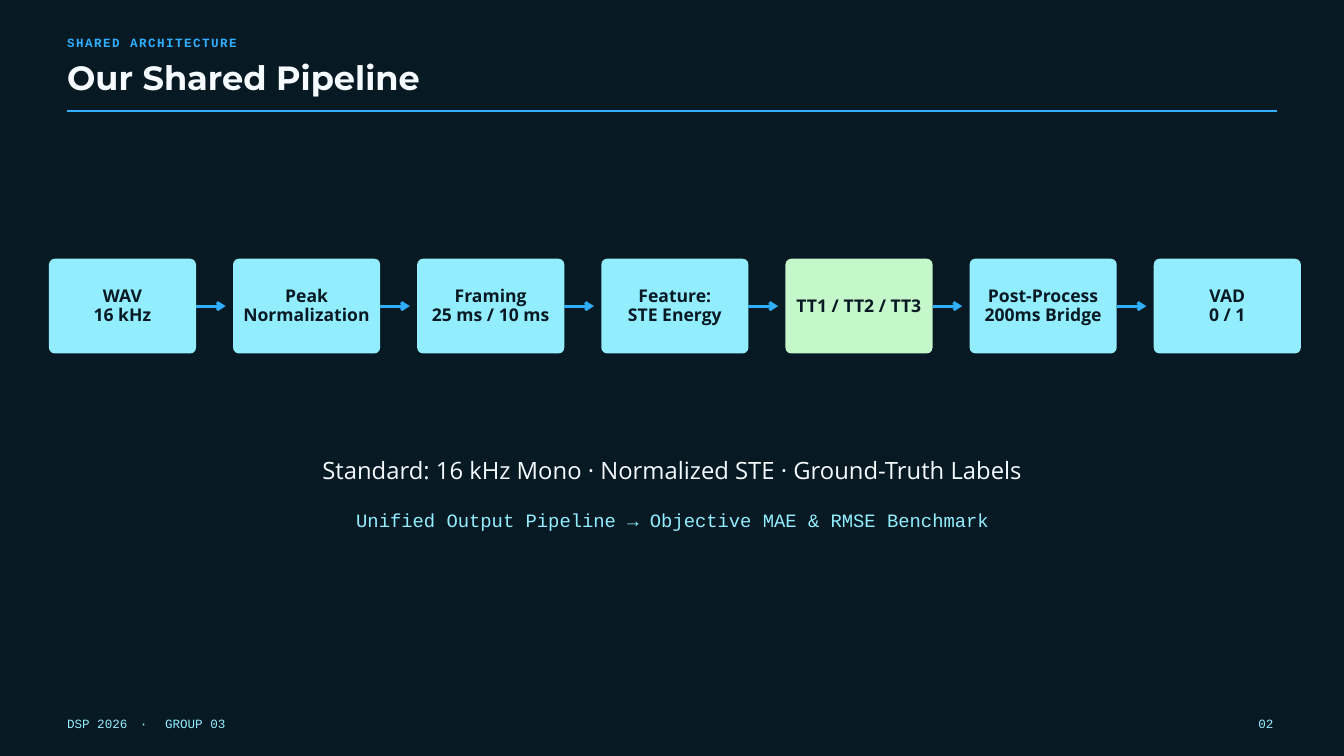
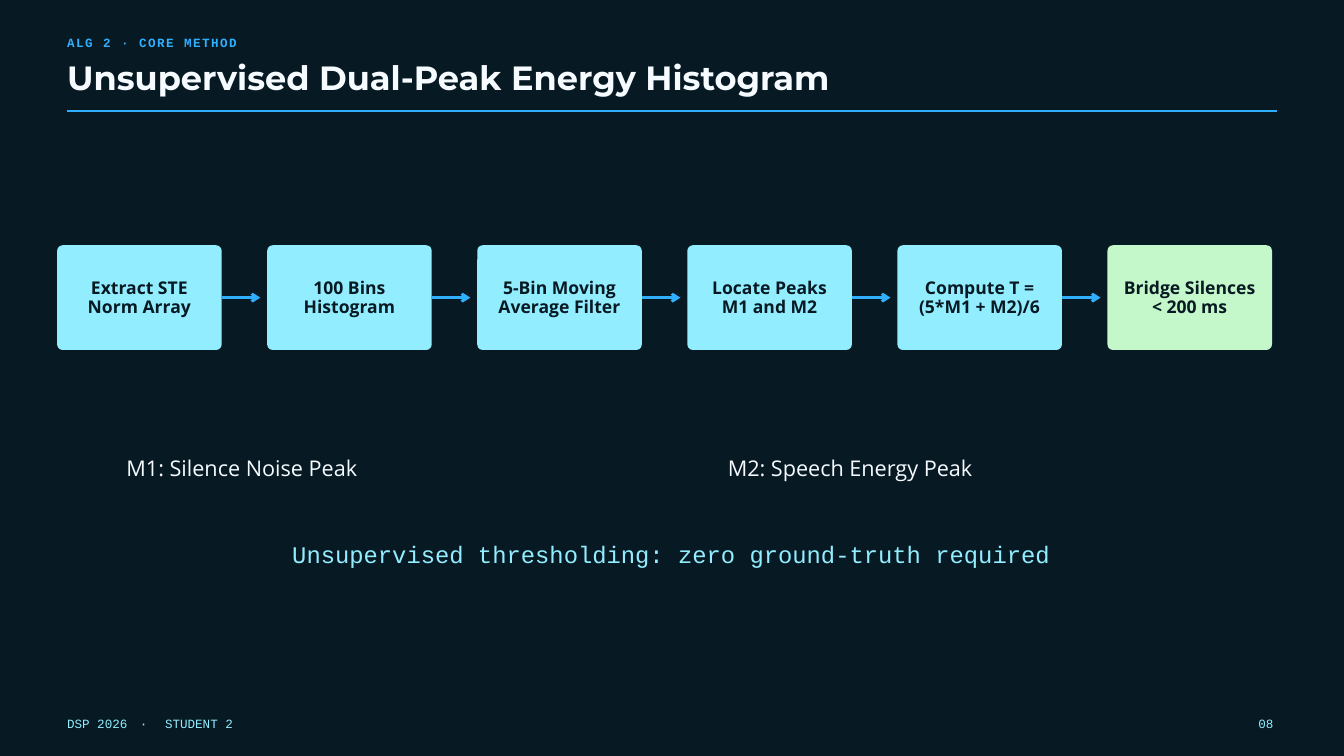
from dataclasses import dataclass

from lxml import etree
from pptx import Presentation
from pptx.dml.color import RGBColor
from pptx.enum.shapes import MSO_CONNECTOR, MSO_SHAPE
from pptx.enum.text import MSO_ANCHOR, MSO_AUTO_SIZE, PP_ALIGN
from pptx.oxml.ns import qn
from pptx.util import Cm, Pt

LEFT, CENTER, RIGHT = PP_ALIGN.LEFT, PP_ALIGN.CENTER, PP_ALIGN.RIGHT
MIDDLE = MSO_ANCHOR.MIDDLE
GROW = MSO_AUTO_SIZE.SHAPE_TO_FIT_TEXT
ROUNDED = MSO_SHAPE.ROUNDED_RECTANGLE
STRAIGHT = MSO_CONNECTOR.STRAIGHT

COLORS = {
    "night": "071923",
    "white": "F5FBFF",
    "blue": "30AFFF",
    "cyan": "92EEFF",
    "mint": "C4F7CA",
}
HEADING, BODY, MONO = "Montserrat", "Open Sans", "Courier New"
MARGIN = 2.54
FOOTER_TOP = 27.03


@dataclass(frozen=True)
class Flow:
    """A row of equal steps joined by arrows; lengths in cm."""
    steps: tuple[str, ...]
    highlighted: int
    left: float
    top: float
    width: float
    height: float
    pitch: float
    arrow: float
    radius: float


@dataclass(frozen=True)
class Note:
    """A line of text below the flow; lengths in cm, sizes in points."""
    text: str
    left: float
    top: float
    width: float
    height: float
    size: float
    leading: float
    font: str = BODY
    color: str = "white"
    align: PP_ALIGN = CENTER


@dataclass(frozen=True)
class Page:
    kicker: str
    title: str
    flow: Flow
    notes: tuple[Note, ...]
    author: str
    number: str


PAGES = (
    Page(
        kicker="SHARED ARCHITECTURE",
        title="Our Shared Pipeline",
        flow=Flow(
            steps=("WAV\n16 kHz", "Peak\nNormalization", "Framing\n25 ms / 10 ms",
                   "Feature:\nSTE Energy", "TT1 / TT2 / TT3",
                   "Post-Process\n200ms Bridge", "VAD\n0 / 1"),
            highlighted=4, left=1.85, top=9.78, width=5.56, height=3.58,
            pitch=6.96, arrow=1.12, radius=0.22),
        notes=(
            Note("Standard: 16 kHz Mono · Normalized STE · Ground-Truth Labels",
                 6.1, 17.12, 38.63, 1.14, 25.5, 33.1),
            Note("Unified Output Pipeline → Objective MAE & RMSE Benchmark",
                 7.42, 19.2, 35.99, 0.89, 20.2, 25.3, MONO, "cyan"),
        ),
        author="GROUP 03", number="02"),
    Page(
        kicker="ALG 2 · CORE METHOD",
        title="Unsupervised Dual-Peak Energy Histogram",
        flow=Flow(
            steps=("Extract STE\nNorm Array", "100 Bins\nHistogram",
                   "5-Bin Moving\nAverage Filter", "Locate Peaks\nM1 and M2",
                   "Compute T =\n(5*M1 + M2)/6", "Bridge Silences\n< 200 ms"),
            highlighted=5, left=2.16, top=9.27, width=6.22, height=3.96,
            pitch=7.94, arrow=1.46, radius=0.21),
        notes=(
            Note("M1: Silence Noise Peak", 4.78, 17.12, 18.52, 1.07, 23.2, 30.2, align=LEFT),
            Note("M2: Speech Energy Peak", 27.51, 17.12, 18.52, 1.07, 23.2, 30.2, align=LEFT),
            Note("Unsupervised thresholding: zero ground-truth required",
                 7.92, 20.37, 34.93, 1.07, 25.5, 31.9, MONO, "cyan"),
        ),
        author="STUDENT 2", number="08"),
)


def rgb(name: str) -> RGBColor:
    return RGBColor.from_string(COLORS[name])


def add_run(paragraph, text: str, *, size: float, font: str, color: str,
            bold: bool = False, tracking: float = 0) -> None:
    run = paragraph.add_run()
    run.text = text
    run.font.size = Pt(size)
    run.font.name = font
    run.font.bold = bold
    run.font.color.rgb = rgb(color)
    if tracking:
        run._r.get_or_add_rPr().set("spc", str(round(tracking * 100)))


def write_text(frame, text: str, *, leading: float, align: PP_ALIGN = LEFT,
               inset: float = 0, **style) -> None:
    """Fill a text frame, one paragraph per line of text."""
    frame.word_wrap = True
    frame.margin_left = frame.margin_right = Cm(inset)
    frame.margin_top = frame.margin_bottom = Cm(inset)
    for index, line in enumerate(text.split("\n")):
        paragraph = frame.add_paragraph() if index else frame.paragraphs[0]
        paragraph.alignment = align
        paragraph.line_spacing = Pt(leading)
        add_run(paragraph, line, **style)


def add_label(slide, text: str, left: float, top: float, width: float,
              height: float, **style):
    frame = slide.shapes.add_textbox(Cm(left), Cm(top), Cm(width), Cm(height)).text_frame
    write_text(frame, text, **style)
    frame.auto_size = GROW
    return frame


def add_line(slide, start: float, end: float, y: float, weight: float,
             arrow: bool = False) -> None:
    line = slide.shapes.add_connector(STRAIGHT, Cm(start), Cm(y), Cm(end), Cm(y))
    line.line.color.rgb = rgb("blue")
    line.line.width = Pt(weight)
    properties = line._element.spPr
    if arrow:
        etree.SubElement(properties.find(qn("a:ln")), qn("a:tailEnd"), type="arrow")
    etree.SubElement(properties, qn("a:effectLst"))


def add_header(slide, page: Page) -> None:
    add_label(slide, page.kicker, MARGIN, 1.22, 6.88, 0.64, size=13.5,
              leading=18.9, font=MONO, color="blue", bold=True, tracking=1.6)
    add_label(slide, page.title, MARGIN, 2.34, 39.67, 1.4, size=36,
              leading=37.8, font=HEADING, color="white", bold=True)
    add_line(slide, MARGIN, 50.8 - MARGIN, 4.19, 2)


def add_footer(slide, page: Page) -> None:
    style = {"size": 13.5, "font": MONO, "color": "cyan"}
    course = add_label(slide, "DSP 2026", MARGIN, FOOTER_TOP, 23.83, 0.58,
                       leading=16.9, **style).paragraphs[0]
    add_run(course, " · ", tracking=5.4, **style)
    add_run(course, page.author, **style)
    add_label(slide, page.number, 46.02, FOOTER_TOP, 2.11, 0.58,
              leading=16.9, align=RIGHT, **style)


def add_flow(slide, flow: Flow) -> None:
    for index, step in enumerate(flow.steps):
        left = flow.left + index * flow.pitch
        box = slide.shapes.add_shape(ROUNDED, Cm(left), Cm(flow.top),
                                     Cm(flow.width), Cm(flow.height))
        box.adjustments[0] = flow.radius / flow.height
        box.shadow.inherit = False
        box.fill.solid()
        box.fill.fore_color.rgb = rgb("mint" if index == flow.highlighted else "cyan")
        box.line.fill.background()
        box.text_frame.vertical_anchor = MIDDLE
        write_text(box.text_frame, step, size=18.8, leading=20.6, font=BODY,
                   color="night", bold=True, align=CENTER, inset=0.15)
        # Arrow to the next step
        if index < len(flow.steps) - 1:
            right = left + flow.width
            add_line(slide, right, right + flow.arrow,
                     flow.top + flow.height / 2, 3, arrow=True)


def add_page(deck, page: Page) -> None:
    slide = deck.slides.add_slide(deck.slide_layouts[6])
    slide.background.fill.solid()
    slide.background.fill.fore_color.rgb = rgb("night")
    add_header(slide, page)
    add_flow(slide, page.flow)
    for note in page.notes:
        add_label(slide, note.text, note.left, note.top, note.width, note.height,
                  size=note.size, leading=note.leading, font=note.font,
                  color=note.color, align=note.align)
    add_footer(slide, page)


def main() -> None:
    deck = Presentation()
    deck.slide_width, deck.slide_height = Cm(50.8), Cm(28.575)
    for page in PAGES:
        add_page(deck, page)
    deck.save("out.pptx")


if __name__ == "__main__":
    main()
